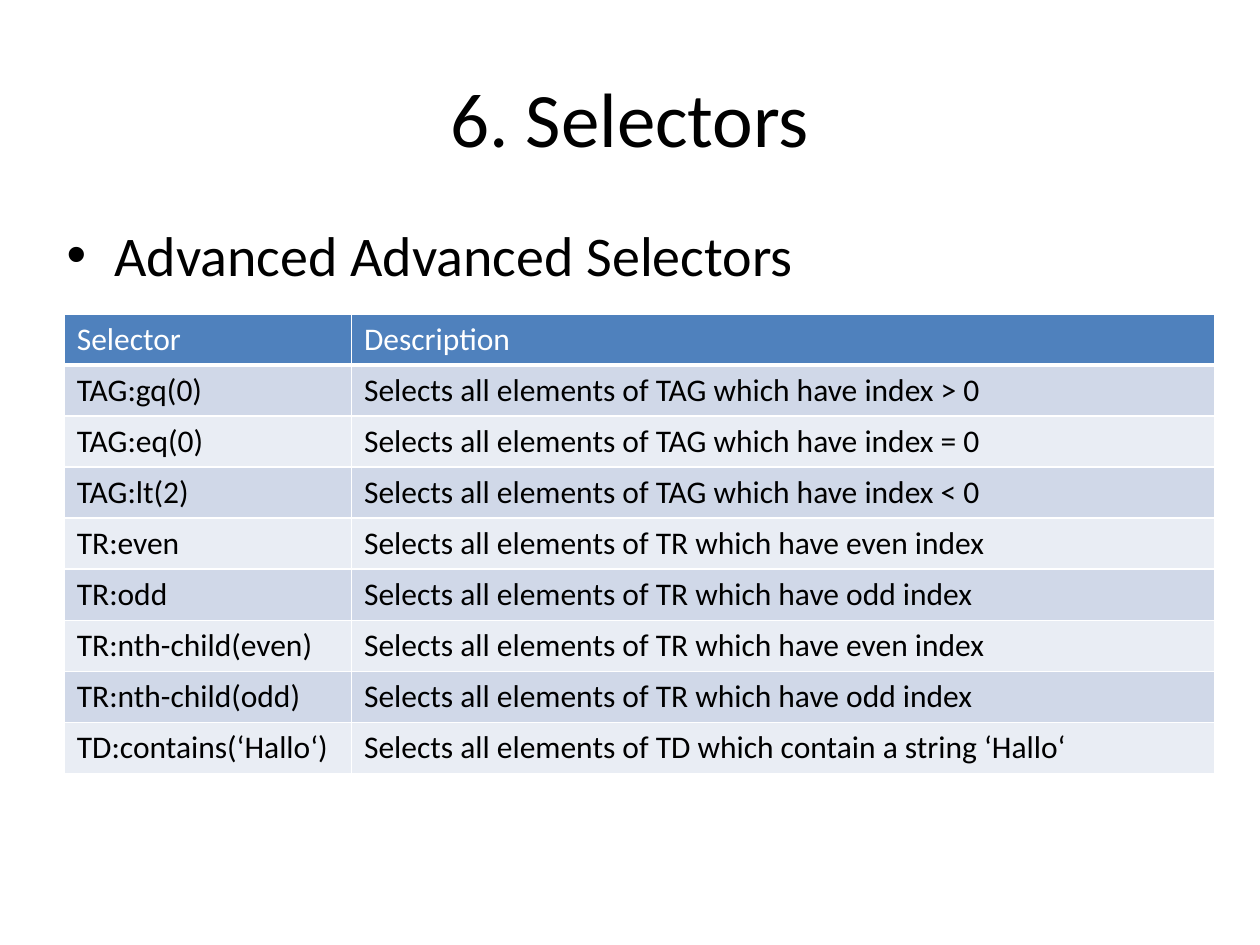
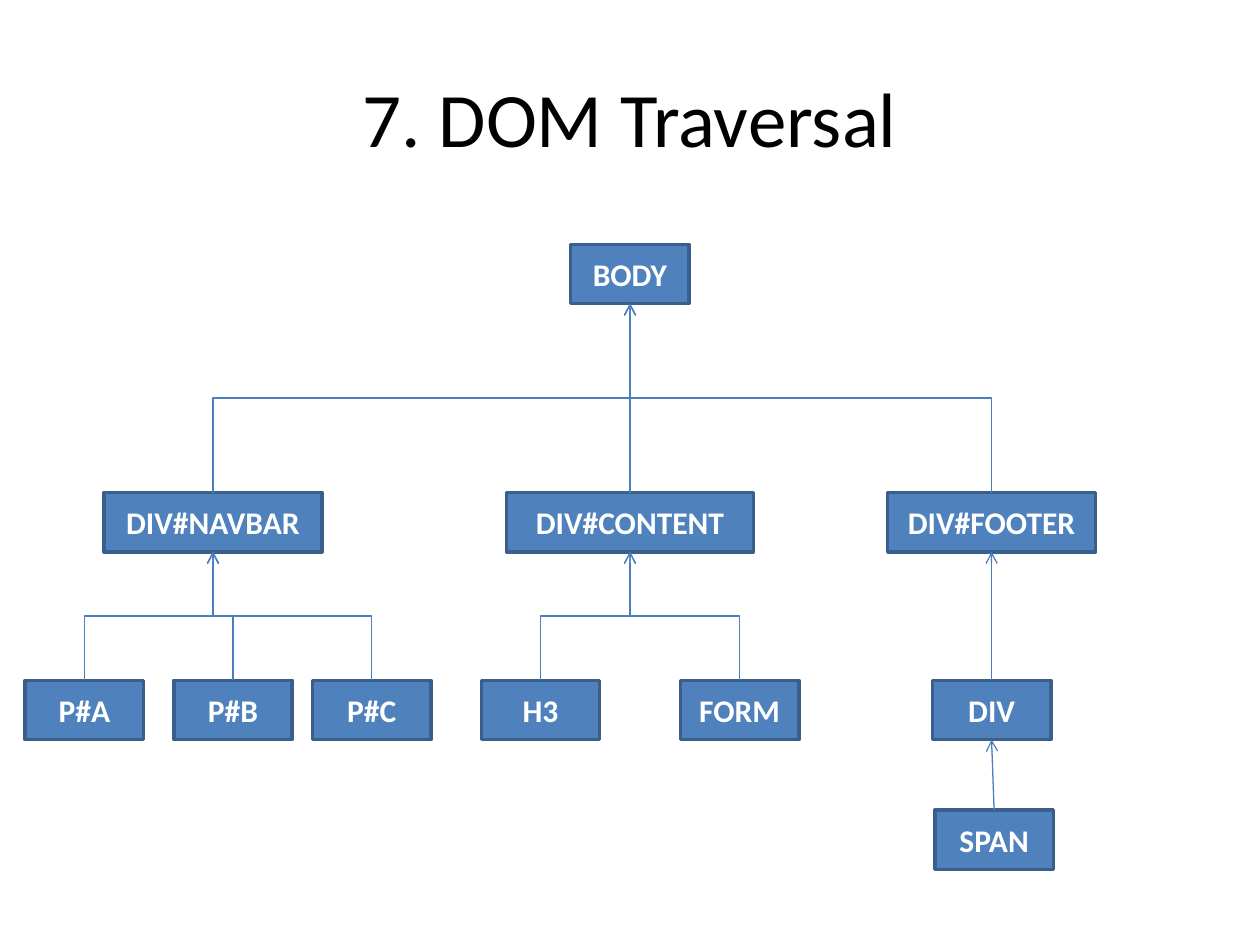
from lxml import etree
from pptx import Presentation
from pptx.dml.color import RGBColor
from pptx.enum.shapes import MSO_CONNECTOR as Link, MSO_SHAPE as Shape
from pptx.enum.text import MSO_ANCHOR as Anchor, PP_ALIGN as Align
from pptx.oxml.ns import qn
from pptx.util import Inches, Pt

FONT = "Calibri"
BLACK = RGBColor(0x00, 0x00, 0x00)
WHITE = RGBColor(0xFF, 0xFF, 0xFF)
BLUE = RGBColor(0x4F, 0x81, 0xBD)
NODE_EDGE = RGBColor(0x3A, 0x5F, 0x8C)
LINK_BLUE = RGBColor(0x4B, 0x7E, 0xBC)
BAND_DARK = RGBColor(0xD0, 0xD8, 0xE8)
BAND_LIGHT = RGBColor(0xE9, 0xED, 0xF4)

TITLE_BOX = (0.5, 0.3, 9, 1.25)
BODY_BOX = (0.43, 1.7, 9, 4.95)
TABLE_BOX = (0.51, 2.49, 9.13, 3.65)
SELECTOR_WIDTH = 2.28
SELECTORS = [
    ("Selector", "Description"),
    ("TAG:gq(0)", "Selects all elements of TAG which have index > 0"),
    ("TAG:eq(0)", "Selects all elements of TAG which have index = 0"),
    ("TAG:lt(2)", "Selects all elements of TAG which have index < 0"),
    ("TR:even", "Selects all elements of TR which have even index"),
    ("TR:odd", "Selects all elements of TR which have odd index"),
    ("TR:nth-child(even)", "Selects all elements of TR which have even index"),
    ("TR:nth-child(odd)", "Selects all elements of TR which have odd index"),
    ("TD:contains(‘Hallo‘)", "Selects all elements of TD which contain a string ‘Hallo‘"),
]

TREE_BOX = (0.2, 1.94, 8.5, 4.96)
NODE_HEIGHT = 0.47
NODE_WIDTH = 0.94
LEVEL_TOPS = (0, 1.97, 3.46, 4.49)
NODES = [
    ("BODY", None, 0, 4.8, NODE_WIDTH),
    ("DIV#NAVBAR", "BODY", 1, 1.49, 1.73),
    ("DIV#CONTENT", "BODY", 1, 4.8, 1.96),
    ("DIV#FOOTER", "BODY", 1, 7.67, 1.65),
    ("P#A", "DIV#NAVBAR", 2, 0.47, NODE_WIDTH),
    ("P#B", "DIV#NAVBAR", 2, 1.65, NODE_WIDTH),
    ("P#C", "DIV#NAVBAR", 2, 2.75, NODE_WIDTH),
    ("H3", "DIV#CONTENT", 2, 4.09, NODE_WIDTH),
    ("FORM", "DIV#CONTENT", 2, 5.67, NODE_WIDTH),
    ("DIV", "DIV#FOOTER", 2, 7.67, NODE_WIDTH),
    ("SPAN", "DIV", 3, 7.69, NODE_WIDTH),
]
STRAIGHT_PARENTS = ("DIV#FOOTER", "DIV")


def style_text(para, size, color, bold=False):
    para.font.name = FONT
    para.font.size = Pt(size)
    para.font.bold = bold
    para.font.color.rgb = color


def add_text(slide, box, text):
    frame = slide.shapes.add_textbox(*map(Inches, box)).text_frame
    frame.word_wrap = True
    frame.text = text
    return frame


def add_title(slide, box, text):
    frame = add_text(slide, box, text)
    frame.vertical_anchor = Anchor.MIDDLE
    para = frame.paragraphs[0]
    para.alignment = Align.CENTER
    style_text(para, 44, BLACK)


def add_bullet(slide, box, text):
    para = add_text(slide, box, text).paragraphs[0]
    properties = para._p.get_or_add_pPr()
    properties.set("marL", str(Inches(0.38)))
    properties.set("indent", str(-Inches(0.38)))
    etree.SubElement(properties, qn("a:buFont"), typeface="Arial")
    etree.SubElement(properties, qn("a:buChar"), char="•")
    style_text(para, 32, BLACK)


def add_borders(cell, bottom):
    properties = cell._tc.get_or_add_tcPr()
    for side, width in (("lnL", 1), ("lnR", 1), ("lnT", 1), ("lnB", bottom)):
        line = etree.SubElement(properties, qn(f"a:{side}"), w=str(Pt(width)))
        fill = etree.SubElement(line, qn("a:solidFill"))
        etree.SubElement(fill, qn("a:srgbClr"), val=str(WHITE))


def add_selector_table(slide, box, rows):
    left, top, width, height = map(Inches, box)
    table = slide.shapes.add_table(len(rows), 2, left, top, width, height).table
    table.first_row = table.horz_banding = False
    table.columns[0].width = Inches(SELECTOR_WIDTH)
    table.columns[1].width = width - Inches(SELECTOR_WIDTH)
    for index, texts in enumerate(rows):
        header = index == 0
        band = BLUE if header else BAND_DARK if index % 2 else BAND_LIGHT
        for column, text in enumerate(texts):
            cell = table.cell(index, column)
            add_borders(cell, 3 if header else 1)
            cell.fill.solid()
            cell.fill.fore_color.rgb = band
            cell.text = text
            style_text(cell.text_frame.paragraphs[0], 18, WHITE if header else BLACK)


def add_node(slide, box, text):
    node = slide.shapes.add_shape(Shape.RECTANGLE, *map(Inches, box))
    node.shadow.inherit = False
    node.fill.solid()
    node.fill.fore_color.rgb = BLUE
    node.line.color.rgb = NODE_EDGE
    node.line.width = Pt(2)
    frame = node.text_frame
    frame.text = text
    frame.word_wrap = False
    frame.vertical_anchor = Anchor.MIDDLE
    para = frame.paragraphs[0]
    para.alignment = Align.CENTER
    style_text(para, 18, WHITE, bold=True)


def add_elbow(slide, start, end):
    across, rise = end[0] - start[0], start[1] - end[1]
    center_x, center_y = (start[0] + end[0]) / 2, (start[1] + end[1]) / 2
    left, right = center_x - rise / 2, center_x + rise / 2
    top, bottom = center_y - abs(across) / 2, center_y + abs(across) / 2
    if across > 0:
        ends, angle = (right, bottom, left, top), 90
    else:
        ends, angle = (left, bottom, right, top), 270
    connector = slide.shapes.add_connector(Link.ELBOW, *map(Inches, ends))
    frame = connector.element.spPr.find(qn("a:xfrm"))
    frame.set("rot", str(angle * 60000))
    if across <= 0:
        frame.set("flipV", "1")
    return connector


def add_link(slide, start, end, straight):
    if straight:
        connector = slide.shapes.add_connector(Link.STRAIGHT, *map(Inches, start + end))
    else:
        connector = add_elbow(slide, start, end)
    connector.line.color.rgb = LINK_BLUE
    connector.line.width = Pt(0.75)
    etree.SubElement(connector.line._get_or_add_ln(), qn("a:tailEnd"), type="arrow")
    etree.SubElement(connector.element.spPr, qn("a:effectLst"))


def add_tree(slide, box, nodes):
    left, top = box[:2]
    bottoms = {}
    for name, parent, level, center, width in nodes:
        middle, node_top = left + center, top + LEVEL_TOPS[level]
        add_node(slide, (middle - width / 2, node_top, width, NODE_HEIGHT), name)
        bottoms[name] = (middle, node_top + NODE_HEIGHT)
        if parent:
            add_link(slide, (middle, node_top), bottoms[parent], parent in STRAIGHT_PARENTS)


def add_slide(deck, title):
    slide = deck.slides.add_slide(deck.slide_layouts[6])
    add_title(slide, TITLE_BOX, title)
    return slide


def main():
    deck = Presentation()
    deck.slide_width, deck.slide_height = Inches(10), Inches(7.5)

    selectors = add_slide(deck, "6. Selectors")
    add_bullet(selectors, BODY_BOX, "Advanced Advanced Selectors")
    add_selector_table(selectors, TABLE_BOX, SELECTORS)

    traversal = add_slide(deck, "7. DOM Traversal")
    add_tree(traversal, TREE_BOX, NODES)

    deck.save("out.pptx")


if __name__ == "__main__":
    main()
